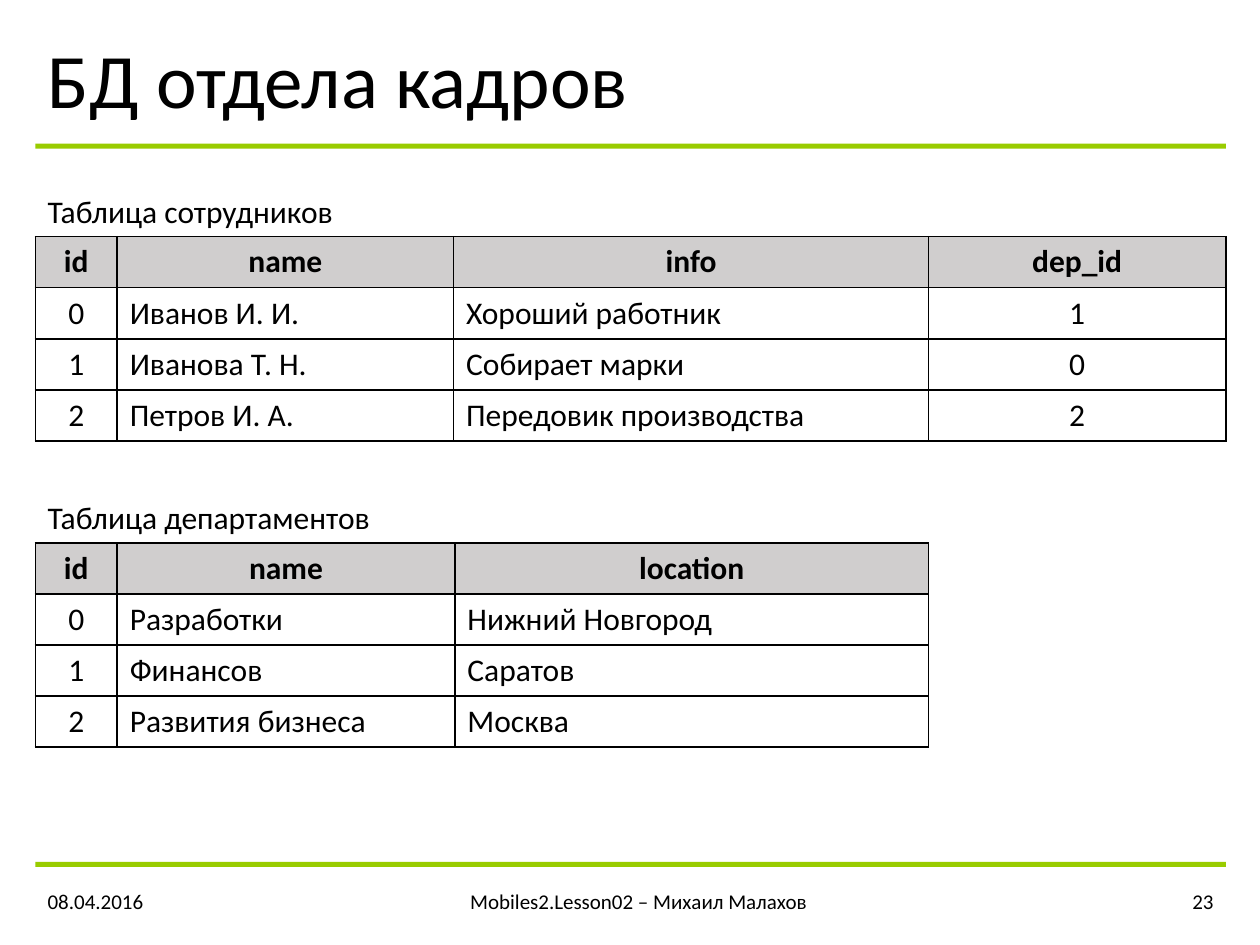
from lxml.etree import SubElement
from pptx import Presentation
from pptx.dml.color import RGBColor
from pptx.enum.shapes import MSO_SHAPE
from pptx.enum.text import MSO_ANCHOR, MSO_AUTO_SIZE, PP_ALIGN
from pptx.oxml import parse_xml
from pptx.oxml.ns import nsdecls, qn
from pptx.util import Pt

BLACK = RGBColor(0x00, 0x00, 0x00)
GREEN = RGBColor(0x99, 0xCC, 0x00)
GRAY = RGBColor(0xD0, 0xCE, 0xCE)

LEFT = 20.16
WIDTH = 680.4
ROW_HEIGHT = 29.2

EMPLOYEES = [
    ("id", "name", "info", "dep_id"),
    ("0", "Иванов И. И.", "Хороший работник", "1"),
    ("1", "Иванова Т. Н.", "Собирает марки", "0"),
    ("2", "Петров И. А.", "Передовик производства", "2"),
]
DEPARTMENTS = [
    ("id", "name", "location"),
    ("0", "Разработки", "Нижний Новгород"),
    ("1", "Финансов", "Саратов"),
    ("2", "Развития бизнеса", "Москва"),
]


def write(tf, text, size=18, bold=False, align=PP_ALIGN.LEFT, spacing=None):
    p = tf.paragraphs[0]
    p.alignment = align
    if spacing:
        p.line_spacing = spacing
    r = p.add_run()
    r.text = text
    r.font.name = "Calibri"
    r.font.size = Pt(size)
    r.font.bold = bold
    r.font.color.rgb = BLACK


def add_borders(cell):
    tc_pr = cell._tc.get_or_add_tcPr()
    for i, side in enumerate("LRTB"):
        ln = parse_xml(f'<a:ln{side} {nsdecls("a")} w="{Pt(1)}"/>')
        fill = SubElement(ln, qn("a:solidFill"))
        SubElement(fill, qn("a:srgbClr"), val=str(BLACK))
        tc_pr.insert(i, ln)


class SlideBuilder:
    def __init__(self, prs):
        self.s = prs.slides.add_slide(prs.slide_layouts[5])

    def title(self, text, top, height):
        sp = self.s.shapes.title
        sp.left, sp.top, sp.width, sp.height = Pt(LEFT), Pt(top), Pt(WIDTH), Pt(height)
        tf = sp.text_frame
        tf.auto_size = MSO_AUTO_SIZE.NONE
        tf.vertical_anchor = MSO_ANCHOR.MIDDLE
        write(tf, text, size=44, spacing=0.9)

    def rule(self, top):
        sp = self.s.shapes.add_shape(
            MSO_SHAPE.RECTANGLE, Pt(LEFT), Pt(top), Pt(WIDTH), Pt(2.88))
        sp.shadow.inherit = False
        sp.fill.solid()
        sp.fill.fore_color.rgb = GREEN
        sp.line.fill.background()

    def caption(self, text, top, width):
        sp = self.s.shapes.add_textbox(Pt(LEFT), Pt(top), Pt(width), Pt(29.08))
        tf = sp.text_frame
        tf.word_wrap = False
        tf.auto_size = MSO_AUTO_SIZE.SHAPE_TO_FIT_TEXT
        write(tf, text)

    def footer(self, text, left, width, align):
        sp = self.s.shapes.add_textbox(Pt(left), Pt(500.4), Pt(width), Pt(28.8))
        tf = sp.text_frame
        tf.word_wrap = True
        tf.vertical_anchor = MSO_ANCHOR.MIDDLE
        write(tf, text, size=12, align=align)

    def table(self, rows, top, widths, centered):
        frame = self.s.shapes.add_table(
            len(rows), len(widths), Pt(LEFT), Pt(top),
            Pt(sum(widths)), Pt(ROW_HEIGHT * len(rows)))
        table = frame.table
        table.horz_banding = False
        for column, width in zip(table.columns, widths):
            column.width = Pt(width)
        for i, row in enumerate(rows):
            table.rows[i].height = Pt(ROW_HEIGHT)
            for j, text in enumerate(row):
                cell = table.cell(i, j)
                header = i == 0
                if header:
                    cell.fill.solid()
                    cell.fill.fore_color.rgb = GRAY
                else:
                    cell.fill.background()
                center = header or j in centered
                write(cell.text_frame, text, bold=header,
                      align=PP_ALIGN.CENTER if center else PP_ALIGN.LEFT)
                add_borders(cell)


def main():
    prs = Presentation()
    prs.slide_width, prs.slide_height = Pt(720), Pt(540)
    slide = SlideBuilder(prs)
    slide.rule(82.08)
    slide.rule(492.48)
    slide.title("БД отдела кадров", 19.44, 56.88)
    slide.table(EMPLOYEES, 135.2, (46.8, 192.24, 271.44, 169.92), (0, 3))
    slide.footer("08.04.2016", LEFT, 98.64, PP_ALIGN.LEFT)
    slide.footer("Mobiles2.Lesson02 – Михаил Малахов", 118.8, 492.48, PP_ALIGN.CENTER)
    slide.footer("23", 611.28, 89.28, PP_ALIGN.RIGHT)
    slide.table(DEPARTMENTS, 310.2, (46.8, 192.96, 270.72), (0,))
    slide.caption("Таблица департаментов", 281, 200.88)
    slide.caption("Таблица сотрудников", 106, 179.28)
    prs.save("out.pptx")


if __name__ == "__main__":
    main()
